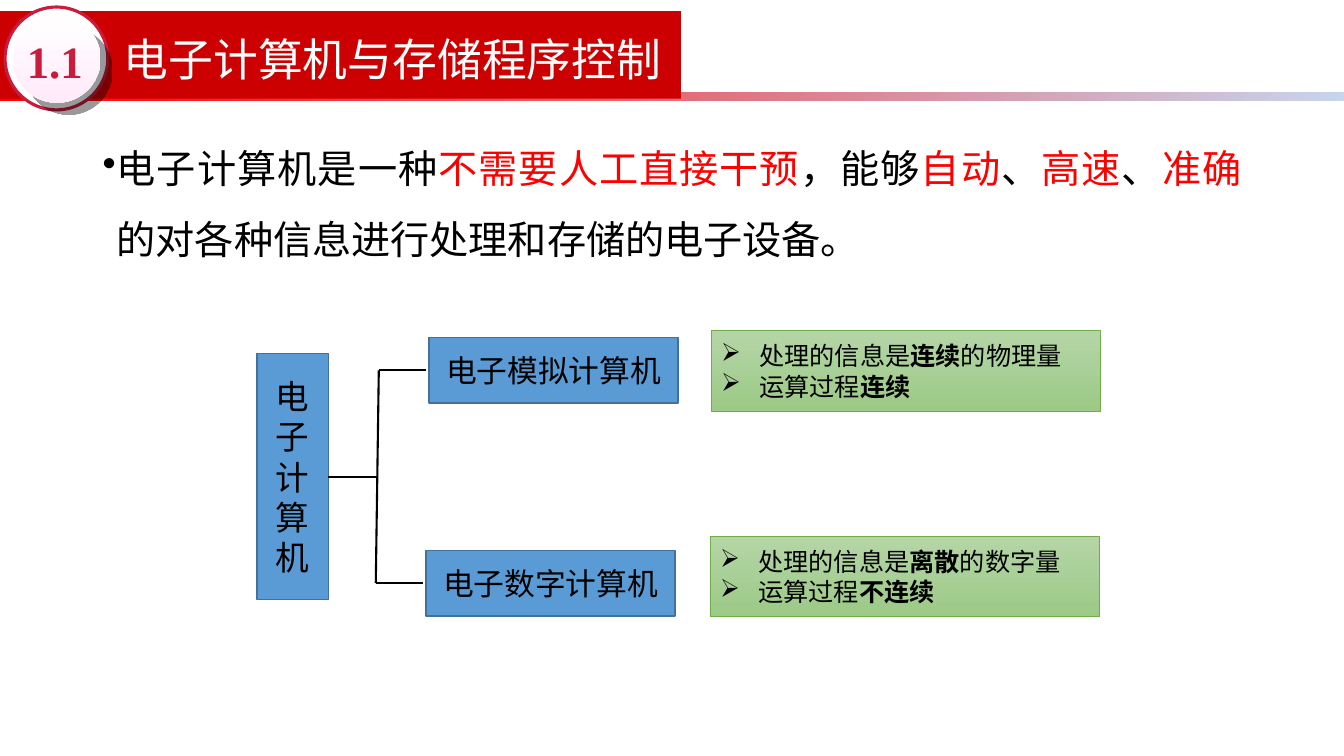
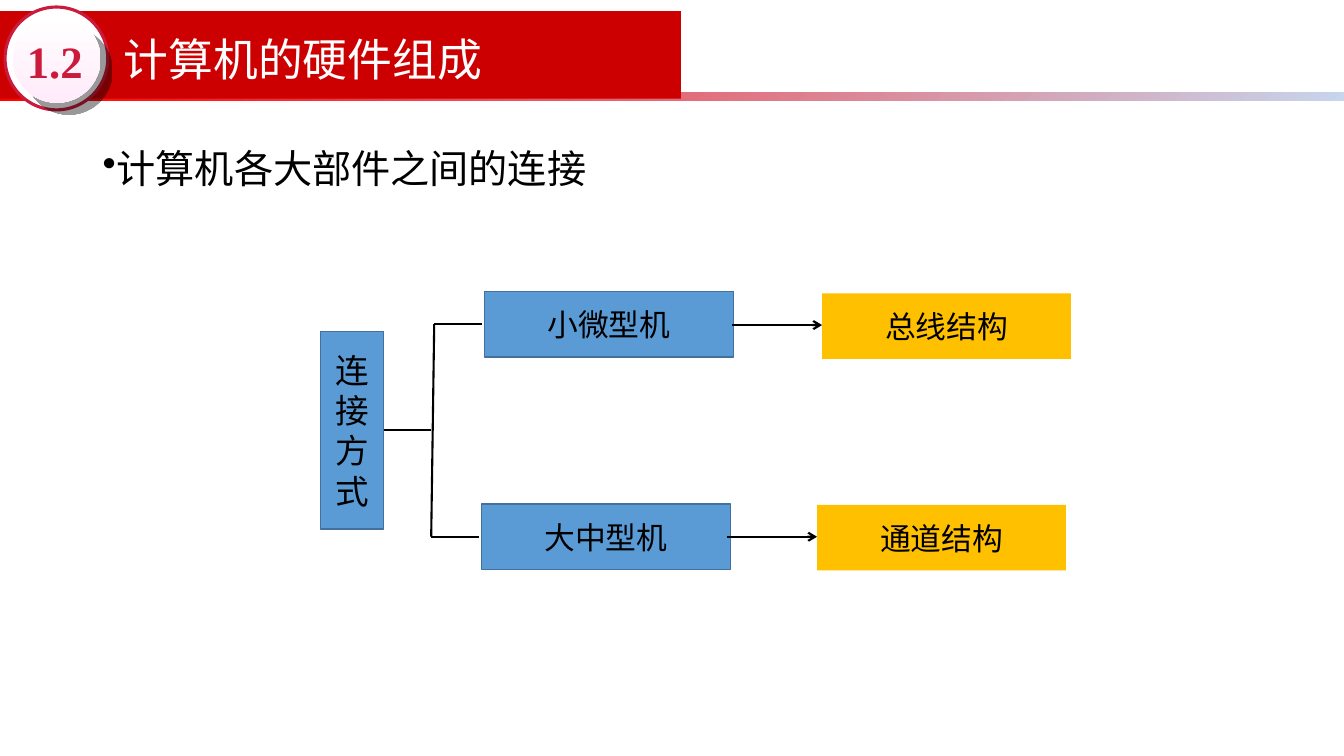
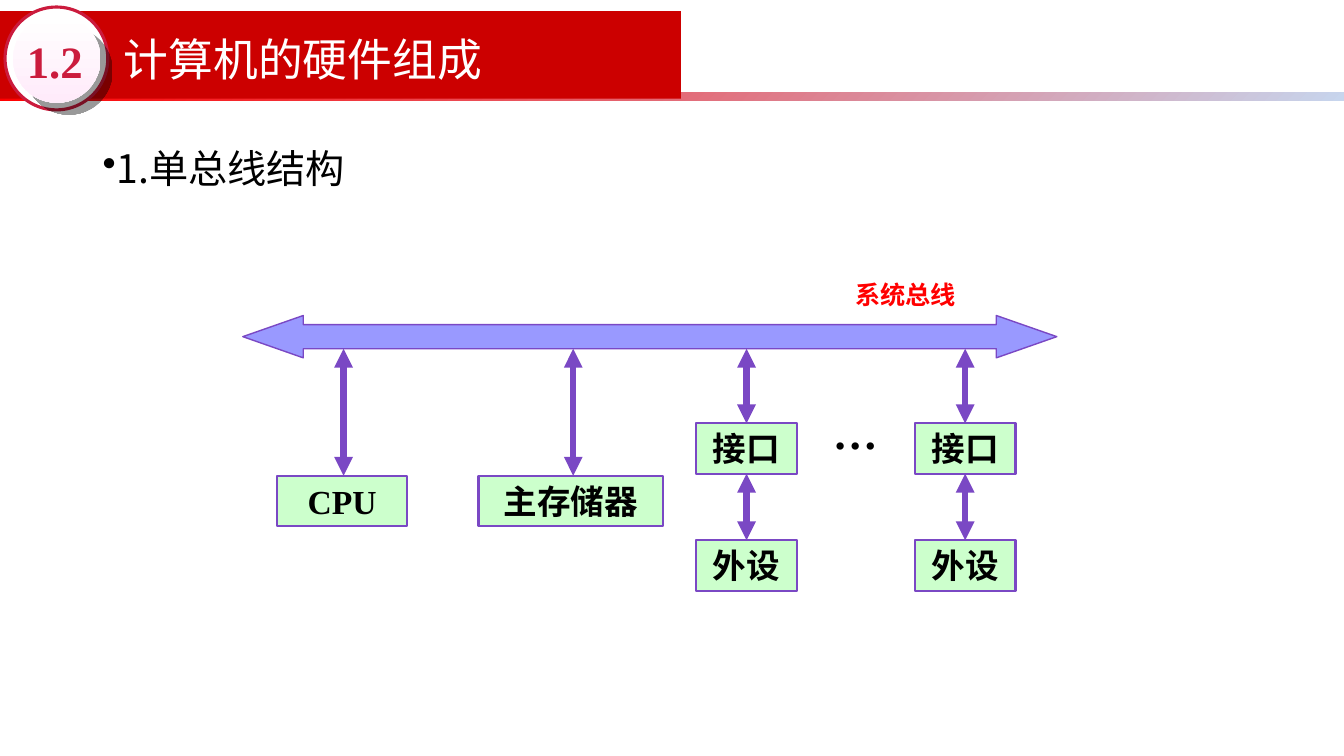
"""Build three lecture slides on computer types and the single-bus structure."""
from dataclasses import dataclass
from typing import Any, Optional, Union

import lxml.etree
import pptx
import pptx.dml.color
import pptx.enum.shapes
import pptx.enum.text
import pptx.oxml.ns
import pptx.util

CELL = pptx.util.Inches(0.1)
COLUMNS, ROWS = 133.4, 75
SANS, SERIF, LATIN = "Noto Sans CJK SC", "Times New Roman", "Calibri"
BLACK, WHITE, RED, CRIMSON, BANNER = "000000", "FFFFFF", "FF0000", "CB1B3D", "CC0000"
BLUE, NAVY, AMBER = "5B9BD5", "41719C", "FFC000"
MINT, VIOLET, LILAC = "CCFFCC", "7A48C4", "9999FF"
BRANCH_WIDTH, BRANCH_HEIGHT = 24.7, 6.5

SHAPES = pptx.enum.shapes.MSO_SHAPE
CENTER = pptx.enum.text.PP_ALIGN.CENTER
JUSTIFY = pptx.enum.text.PP_ALIGN.JUSTIFY
MIDDLE = pptx.enum.text.MSO_ANCHOR.MIDDLE
TOP = pptx.enum.text.MSO_ANCHOR.TOP


@dataclass(frozen=True)
class Area:
    left: float
    top: float
    width: float
    height: float

    def lengths(self) -> list[int]:
        return [cells(n) for n in (self.left, self.top, self.width, self.height)]


@dataclass(frozen=True)
class Run:
    text: str
    color: str = BLACK
    bold: bool = False


@dataclass(frozen=True)
class Gradient:
    start: str
    end: str
    angle: float


@dataclass(frozen=True)
class Bullet:
    symbol: str
    indent: float


@dataclass(frozen=True)
class TextStyle:
    size: float
    font: str = SANS
    align: Optional[Any] = CENTER
    anchor: Any = MIDDLE
    spacing: Optional[float] = None
    bullet: Optional[Bullet] = None
    inset: bool = True
    wrap: bool = True


@dataclass(frozen=True)
class Look:
    fill: Union[str, Gradient]
    line: Optional[str] = None
    weight: float = 1


@dataclass(frozen=True)
class Stroke:
    color: str = BLACK
    weight: float = 1.5
    head: Optional[str] = None
    tail: Optional[str] = None


@dataclass(frozen=True)
class Fork:
    root: str
    root_width: float
    root_height: float
    left: float
    middle: float
    branches: tuple[str, str]


Lines = list[list[Run]]

TITLE = TextStyle(32, align=None, spacing=0.9)
NUMBER = TextStyle(32, SERIF, inset=False)
BODY = TextStyle(28, align=JUSTIFY, anchor=TOP, spacing=1.5, bullet=Bullet("•", 1.4))
ROOT = TextStyle(24)
BRANCH = TextStyle(22)
TRAITS = TextStyle(18, LATIN, align=None, bullet=Bullet("➢", 3.8))
UNIT = TextStyle(24, SERIF)
BUS_LABEL = TextStyle(18, SERIF, wrap=False)
ELLIPSIS = TextStyle(32, SERIF, wrap=False)

BLUE_BOX = Look(BLUE, NAVY)
GREEN_BOX = Look(Gradient("B5D5A7", "9CCA86", 90), "70AD47", 0.5)
UNIT_BOX = Look(MINT, VIOLET, 1.5)
BRACKET = Stroke()
LEADS_TO = Stroke(tail="arrow")
TRANSFER = Stroke(VIOLET, 4.5, "triangle", "triangle")


def cells(count: float) -> int:
    """Convert grid cells to a length."""
    return round(count * CELL)


def rgb(value: str) -> pptx.dml.color.RGBColor:
    """Turn a hex string into a colour."""
    return pptx.dml.color.RGBColor.from_string(value)


def child(parent: Any, tag: str, **attributes: str) -> Any:
    """Append an XML element."""
    return lxml.etree.SubElement(parent, pptx.oxml.ns.qn(tag), attributes)


def apply(target: Any, values: dict[str, Any]) -> None:
    """Set each named attribute of the target."""
    for name, value in values.items():
        setattr(target, name, value)


def write(frame: Any, lines: Lines, style: TextStyle) -> None:
    """Fill a text frame with styled paragraphs."""
    apply(frame, {"word_wrap": style.wrap, "vertical_anchor": style.anchor})
    if not style.inset:
        sides = ("left", "top", "right", "bottom")
        apply(frame, {f"margin_{side}": 0 for side in sides})
    for index, runs in enumerate(lines):
        paragraph = frame.add_paragraph() if index else frame.paragraphs[0]
        if style.bullet:
            properties = paragraph._p.get_or_add_pPr()
            indent = cells(style.bullet.indent)
            properties.set("marL", str(indent))
            properties.set("indent", str(-indent))
            child(child(properties, "a:buClr"), "a:srgbClr", val=BLACK)
            child(properties, "a:buChar", char=style.bullet.symbol)
        align = style.align or pptx.enum.text.PP_ALIGN.LEFT
        apply(paragraph, {"alignment": align, "line_spacing": style.spacing})
        for piece in runs:
            run = paragraph.add_run()
            run.text = piece.text
            size = pptx.util.Pt(style.size)
            apply(run.font, {"size": size, "name": style.font, "bold": piece.bold})
            run.font.color.rgb = rgb(piece.color)
            child(run._r.get_or_add_rPr(), "a:ea", typeface=SANS)


def add_text(slide: Any, area: Area, lines: Lines, style: TextStyle) -> None:
    """Add a text box."""
    write(slide.shapes.add_textbox(*area.lengths()).text_frame, lines, style)


def add_figure(slide: Any, kind: Any, area: Area, look: Look) -> Any:
    """Add a preset shape with its fill and outline."""
    figure = slide.shapes.add_shape(kind, *area.lengths())
    figure.shadow.inherit = False
    if isinstance(look.fill, Gradient):
        figure.fill.gradient()
        figure.fill.gradient_angle = 360 - look.fill.angle
        for stop, color in zip(figure.fill.gradient_stops, (look.fill.start, look.fill.end)):
            stop.color.rgb = rgb(color)
    else:
        figure.fill.solid()
        figure.fill.fore_color.rgb = rgb(look.fill)
    if look.line:
        figure.line.color.rgb = rgb(look.line)
        figure.line.width = pptx.util.Pt(look.weight)
    else:
        figure.line.fill.background()
    return figure


def add_box(slide: Any, area: Area, look: Look, lines: Lines, style: TextStyle) -> None:
    """Add a rectangle that holds text."""
    write(add_figure(slide, SHAPES.RECTANGLE, area, look).text_frame, lines, style)


def add_line(slide: Any, x1: float, y1: float, x2: float, y2: float, stroke: Stroke) -> None:
    """Add a straight line with optional arrowheads."""
    straight = pptx.enum.shapes.MSO_CONNECTOR.STRAIGHT
    connector = slide.shapes.add_connector(straight, *map(cells, (x1, y1, x2, y2)))
    connector.line.color.rgb = rgb(stroke.color)
    connector.line.width = pptx.util.Pt(stroke.weight)
    for tag, arrow in (("a:headEnd", stroke.head), ("a:tailEnd", stroke.tail)):
        if arrow:
            child(connector.line._get_or_add_ln(), tag, type=arrow)
    child(connector._element.spPr, "a:effectLst")


def add_page(deck: Any, number: str, title: str, body: list[Run]) -> Any:
    """Add a slide with the shared banner, numbered badge and body text."""
    slide = deck.slides.add_slide(deck.slide_layouts[6])
    rule = Look(Gradient(RED, "C7D5ED", 45))
    add_figure(slide, SHAPES.RECTANGLE, Area(0, 9.2, COLUMNS, 0.8), rule)
    add_figure(slide, SHAPES.RECTANGLE, Area(0, 1.1, 67.6, 8.7), Look(BANNER))
    ring = Look(WHITE, CRIMSON, 2.25)
    add_figure(slide, SHAPES.OVAL, Area(0.5, 0.7, 10.2, 10.2), ring)
    disc_look = Look(Gradient(WHITE, "FFEBFA", 90))
    disc = add_figure(slide, SHAPES.OVAL, Area(1.3, 1.5, 8.7, 8.7), disc_look)
    effects = disc._element.spPr.find(pptx.oxml.ns.qn("a:effectLst"))
    distance = str(pptx.util.Pt(12.1))
    shadow = child(effects, "a:outerShdw", blurRad="0", dist=distance,
                   dir="2700000", algn="ctr", rotWithShape="0")
    child(child(shadow, "a:srgbClr", val=BLACK), "a:alpha", val="40000")
    add_text(slide, Area(11.3, 2, 74.4, 8.2), [[Run(title, WHITE)]], TITLE)
    add_text(slide, Area(0.8, 3.3, 9.3, 5.4), [[Run(number, CRIMSON, True)]], NUMBER)
    add_text(slide, Area(9.2, 11.5, 115, 54.4), [body], BODY)
    return slide


def add_fork(slide: Any, fork: Fork) -> None:
    """Draw a root box that splits into two branch boxes."""
    x, y = fork.left, fork.middle
    root = Area(x - fork.root_width, y - fork.root_height / 2,
                fork.root_width, fork.root_height)
    add_box(slide, root, BLUE_BOX, [[Run(fork.root)]], ROOT)
    reach, rise, tilt = 4.7, 10.55, 0.3
    add_line(slide, x, y, x + reach, y, BRACKET)
    add_line(slide, x + reach + tilt, y - rise, x + reach, y + rise, BRACKET)
    for name, side, shift in zip(fork.branches, (-1, 1), (tilt, 0)):
        start, level = x + reach + shift, y + side * rise
        add_line(slide, start, level, start + reach, level, BRACKET)
        area = Area(start + reach + 0.3, level - BRANCH_HEIGHT / 2,
                    BRANCH_WIDTH, BRANCH_HEIGHT)
        add_box(slide, area, BLUE_BOX, [[Run(name)]], BRANCH)


def build_types(deck: Any) -> None:
    """Build the slide on analogue and digital computers."""
    slide = add_page(deck, "1.1", "电子计算机与存储程序控制", [
        Run("电子计算机是一种"), Run("不需要人工直接干预", RED), Run("，能够"),
        Run("自动", RED), Run("、"), Run("高速", RED), Run("、"), Run("准确", RED),
        Run("的对各种信息进行处理和存储的电子设备。")])
    add_fork(slide, Fork("电子计算机", 7.1, 24.4, 32.6, 47.3,
                         ("电子模拟计算机", "电子数字计算机")))
    for left, top, signal, quantity, process in (
            (70.6, 32.8, "连续", "的物理量", "连续"),
            (70.5, 53.2, "离散", "的数字量", "不连续")):
        traits = [[Run("处理的信息是"), Run(signal, bold=True), Run(quantity)],
                  [Run("运算过程"), Run(process, bold=True)]]
        add_box(slide, Area(left, top, 38.6, 8), GREEN_BOX, traits, TRAITS)


def build_connections(deck: Any) -> None:
    """Build the slide on how the main parts are connected."""
    slide = add_page(deck, "1.2", "计算机的硬件组成", [Run("计算机各大部件之间的连接")])
    add_fork(slide, Fork("连接方式", 6.3, 19.6, 38.1, 42.7, ("小微型机", "大中型机")))
    for left, top, structure in ((81.6, 29.1, "总线结构"), (81.1, 50.1, "通道结构")):
        level = top + BRANCH_HEIGHT / 2 - 0.1
        add_line(slide, left - 8.9, level, left, level, LEADS_TO)
        area = Area(left, top, BRANCH_WIDTH, BRANCH_HEIGHT)
        add_box(slide, area, Look(AMBER), [[Run(structure)]], BRANCH)


def build_bus(deck: Any) -> None:
    """Build the single-bus diagram."""
    slide = add_page(deck, "1.2", "计算机的硬件组成", [Run("1.单总线结构")])
    bus = add_figure(slide, SHAPES.LEFT_RIGHT_ARROW, Area(24.1, 31.3, 80.8, 4.2),
                     Look(LILAC, VIOLET))
    for index, share in enumerate((0.57, 1.43)):
        bus.adjustments[index] = share
    bus_edge, unit_height = 34.6, 5
    units = [("CPU", 27.5, 47.2, 12.9, 34.1, bus_edge),
             ("主存储器", 47.5, 47.2, 18.3, 56.9, bus_edge)]
    for left in (69.1, 90.8):
        units += [("接口", left, 42, 10, left + 5, bus_edge),
                  ("外设", left, 53.6, 10, left + 5, 42 + unit_height)]
    for name, left, top, width, axis, source in units:
        area = Area(left, top, width, unit_height)
        add_box(slide, area, UNIT_BOX, [[Run(name, bold=True)]], UNIT)
        add_line(slide, axis, source, axis, top, TRANSFER)
    add_text(slide, Area(81.7, 39.6, 6.4, 6.4), [[Run("…", bold=True)]], ELLIPSIS)
    add_text(slide, Area(83.9, 27.2, 12, 4), [[Run("系统总线", RED, True)]], BUS_LABEL)


def main() -> None:
    """Build and save the deck."""
    deck = pptx.Presentation()
    apply(deck, {"slide_width": cells(COLUMNS), "slide_height": cells(ROWS)})
    for build in (build_types, build_connections, build_bus):
        build(deck)
    deck.save("out.pptx")


if __name__ == "__main__":
    main()
